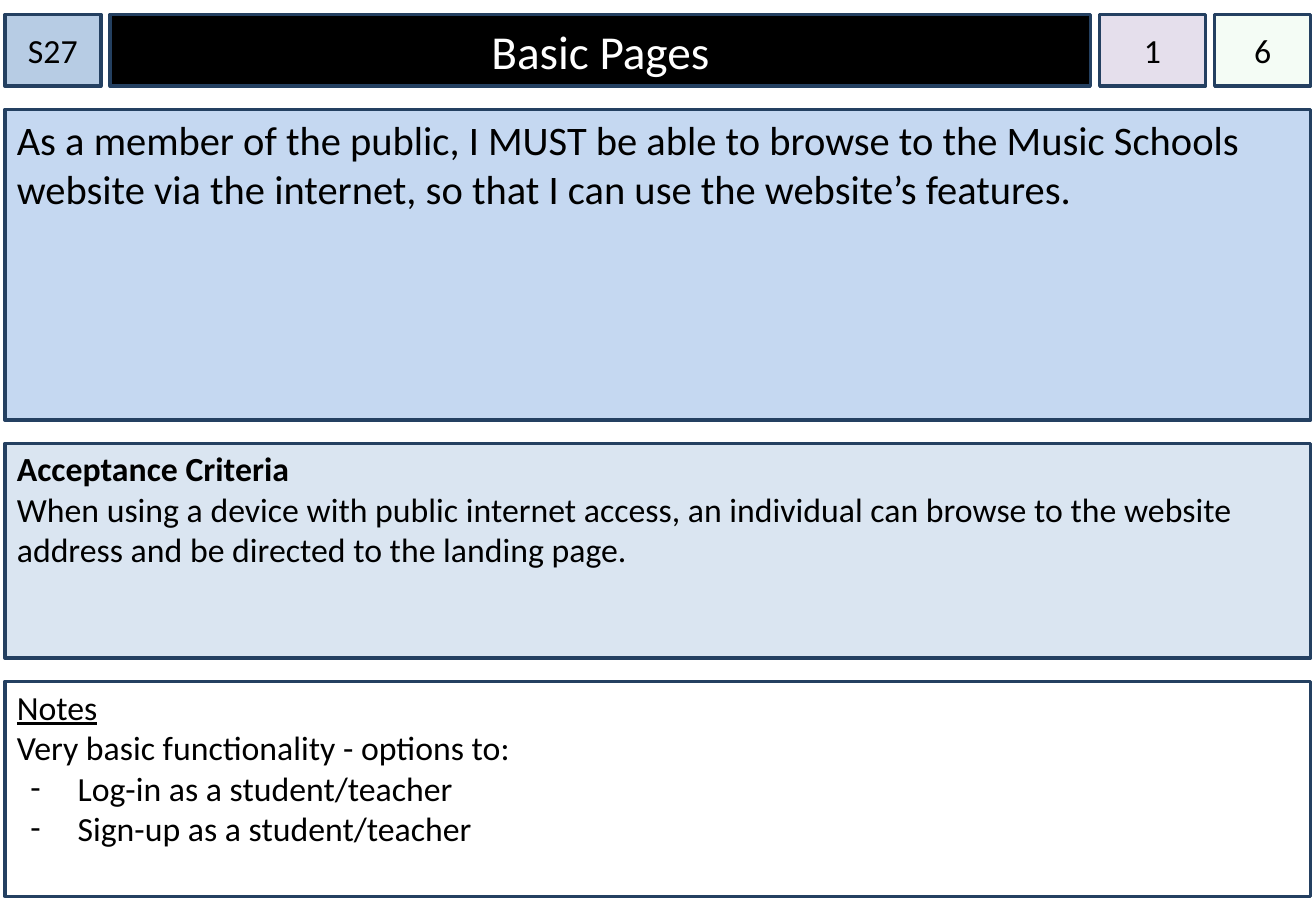
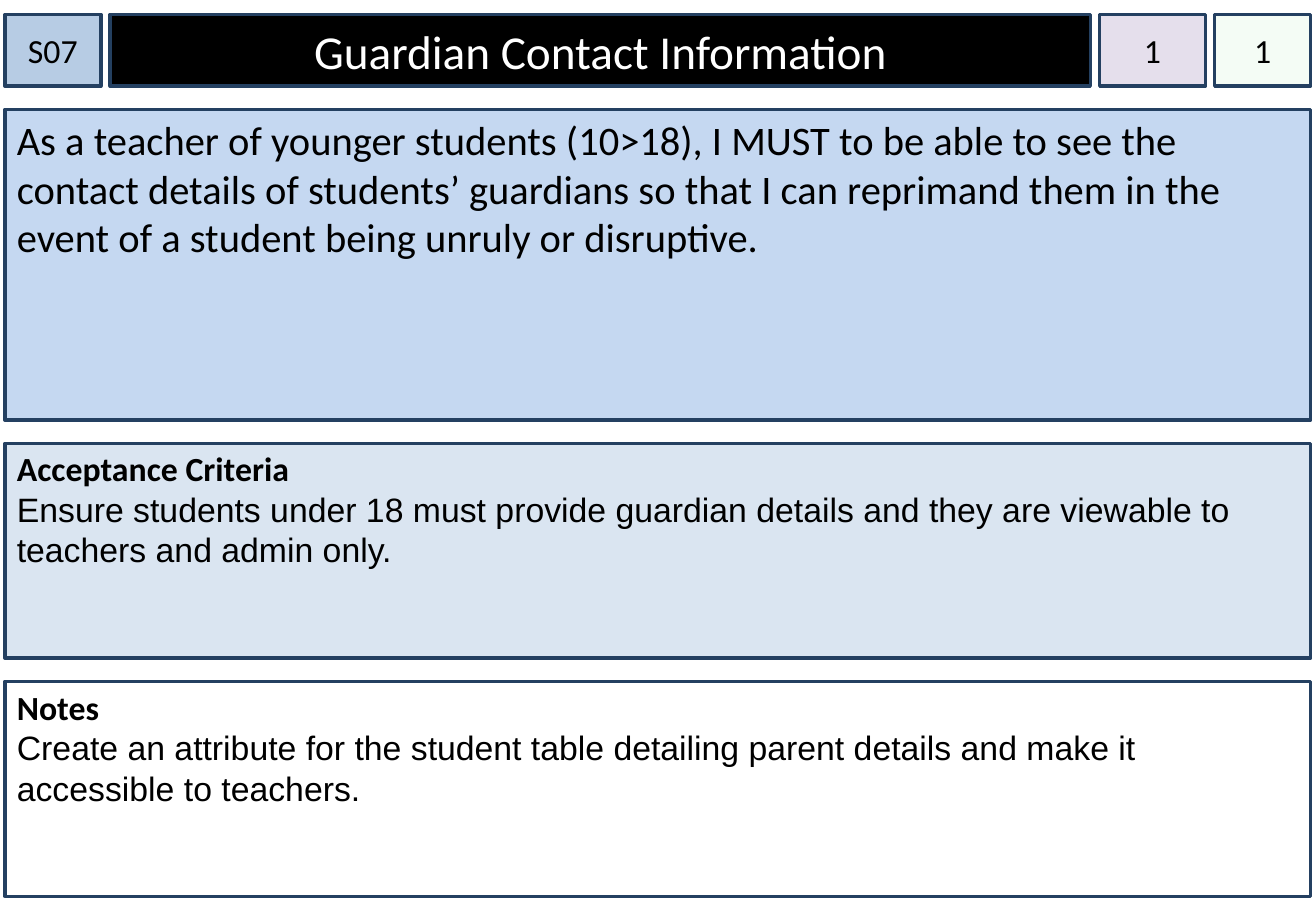
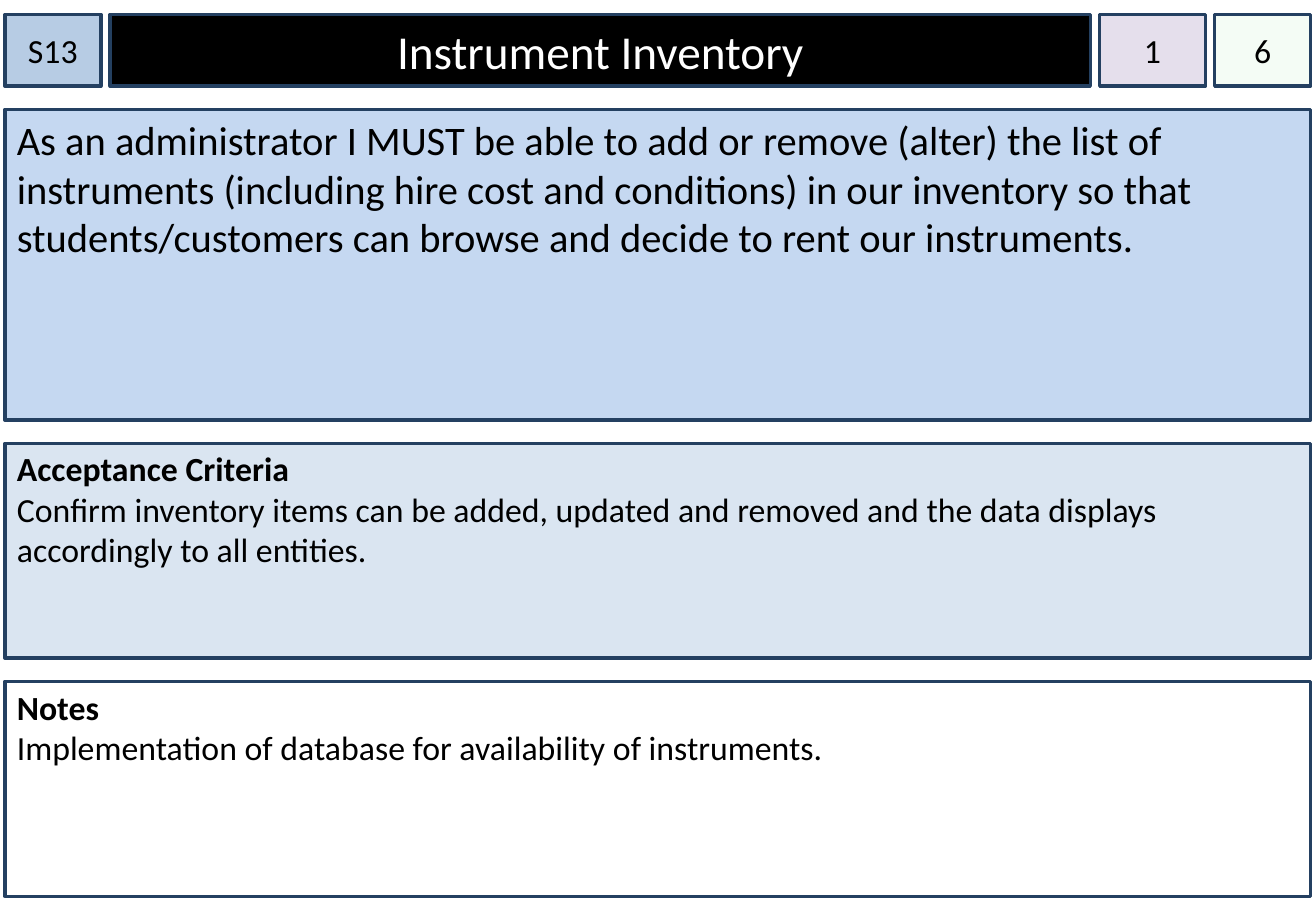
from lxml.etree import SubElement
from pptx import Presentation
from pptx.dml.color import RGBColor
from pptx.enum.shapes import MSO_SHAPE as Shape
from pptx.enum.text import MSO_ANCHOR as Anchor, PP_ALIGN as Align
from pptx.oxml.ns import qn
from pptx.util import Pt

# Content: body lines are (text, is_bullet)
STORIES = [
    dict(
        number="S27", title="Basic Pages", priority="1", estimate="6",
        story="As a member of the public, I MUST be able to browse to the Music Schools "
              "website via the internet, so that I can use the website’s features.",
        criteria=[("When using a device with public internet access, an individual can "
                   "browse to the website address and be directed to the landing page.", False)],
        notes=[("Very basic functionality - options to:", False),
               ("Log-in as a student/teacher", True),
               ("Sign-up as a student/teacher", True)],
        notes_heading="underline", body_font="Calibri"),
    dict(
        number="S07", title="Guardian Contact Information", priority="1", estimate="1",
        story="As a teacher of younger students (10>18), I MUST to be able to see the contact "
              "details of students’ guardians so that I can reprimand them in the event of a "
              "student being unruly or disruptive.",
        criteria=[("Ensure students under 18 must provide guardian details and they are "
                   "viewable to teachers and admin only.", False)],
        notes=[("Create an attribute for the student table detailing parent details and "
                "make it accessible to teachers.", False)],
        notes_heading="bold", body_font="Arial"),
    dict(
        number="S13", title="Instrument Inventory", priority="1", estimate="6",
        story="As an administrator I MUST be able to add or remove (alter) the list of "
              "instruments (including hire cost and conditions) in our inventory so that "
              "students/customers can browse and decide to rent our instruments.",
        criteria=[("Confirm inventory items can be added, updated and removed and the data "
                   "displays accordingly to all entities.", False)],
        notes=[("Implementation of database for availability of instruments.", False)],
        notes_heading="bold", body_font="Calibri"),
]

# Shared style
BLACK = RGBColor(0x00, 0x00, 0x00)
WHITE = RGBColor(0xFF, 0xFF, 0xFF)
BORDER = RGBColor(0x24, 0x40, 0x61)
NUMBER_BLUE = RGBColor(0xB7, 0xCC, 0xE4)
STORY_BLUE = RGBColor(0xC5, 0xD8, 0xF1)
CRITERIA_BLUE = RGBColor(0xDA, 0xE5, 0xF1)
PRIORITY_LILAC = RGBColor(0xE5, 0xDF, 0xEC)
ESTIMATE_GREEN = RGBColor(0xCC, 0xF0, 0xCD)
FONT = "Calibri"

# Shared layout
LEFT, TOP, WIDTH = 2.9, 8.6, 774
HEADER_GAP, ROW_GAP = 5.5, 13.7
HEADER = [  # key, width, fill, text colour, size, side inset
    ("number", 56.9, NUMBER_BLUE, BLACK, 20, 0),
    ("title", 581, BLACK, WHITE, 28, 7.2),
    ("priority", 62.7, PRIORITY_LILAC, BLACK, 20, 0),
    ("estimate", 56.9, ESTIMATE_GREEN, BLACK, 20, 0),
]
HEADER_HEIGHT, STORY_HEIGHT, DETAIL_HEIGHT = 42.5, 184.3, 127.4


def add_panel(slide, x, y, width, height, fill, side=7.2, top=2.9, anchor=Anchor.TOP):
    panel = slide.shapes.add_shape(Shape.RECTANGLE, Pt(x), Pt(y), Pt(width), Pt(height))
    panel.shadow.inherit = False
    panel.fill.solid()
    panel.fill.fore_color.rgb = fill
    panel.line.color.rgb = BORDER
    panel.line.width = Pt(2)
    frame = panel.text_frame
    frame.word_wrap = True
    frame.vertical_anchor = anchor
    frame.margin_left = frame.margin_right = Pt(side)
    frame.margin_top, frame.margin_bottom = Pt(top), Pt(3.6)
    return panel


def write(paragraph, text, size=20, color=BLACK, font=FONT, align=Align.LEFT,
          bold=False, underline=False):
    paragraph.alignment = align
    run = paragraph.add_run()
    run.text = text
    run.font.name, run.font.size = font, Pt(size)
    run.font.bold, run.font.underline = bold, underline
    run.font.color.rgb = color


def add_dash(paragraph):
    props = paragraph._p.get_or_add_pPr()
    props.set("marL", str(Pt(36)))
    props.set("indent", str(Pt(-28)))
    color = SubElement(props, qn("a:buClr"))
    SubElement(color, qn("a:srgbClr"), val=str(BLACK))
    SubElement(props, qn("a:buFont"), typeface=FONT)
    SubElement(props, qn("a:buChar"), char="-")


def set_opacity(panel, percent):
    color = panel.fill._xPr.find(qn("a:solidFill"))[0]
    SubElement(color, qn("a:alpha"), val=str(percent * 1000))


def add_detail(slide, y, fill, heading, emphasis, lines, font):
    frame = add_panel(slide, LEFT, y, WIDTH, DETAIL_HEIGHT, fill).text_frame
    write(frame.paragraphs[0], heading, **{emphasis: True})
    for text, is_bullet in lines:
        paragraph = frame.add_paragraph()
        if is_bullet:
            add_dash(paragraph)
        write(paragraph, text, font=font)


def add_story(slide, card):
    # Header row
    x = LEFT
    for key, width, fill, color, size, side in HEADER:
        cell = add_panel(slide, x, TOP, width, HEADER_HEIGHT, fill, side, 3.6, Anchor.MIDDLE)
        write(cell.text_frame.paragraphs[0], card[key], size, color, align=Align.CENTER)
        if key == "estimate":
            set_opacity(cell, 20)
        x += width + HEADER_GAP

    # User story
    y = TOP + HEADER_HEIGHT + ROW_GAP
    story = add_panel(slide, LEFT, y, WIDTH, STORY_HEIGHT, STORY_BLUE, top=3.6)
    write(story.text_frame.paragraphs[0], card["story"], 24)

    # Acceptance criteria and notes
    y += STORY_HEIGHT + ROW_GAP
    add_detail(slide, y, CRITERIA_BLUE, "Acceptance Criteria", "bold",
               card["criteria"], card["body_font"])
    y += DETAIL_HEIGHT + ROW_GAP
    add_detail(slide, y, WHITE, "Notes", card["notes_heading"],
               card["notes"], card["body_font"])


def main():
    deck = Presentation()
    deck.slide_width, deck.slide_height = Pt(780), Pt(540)
    for card in STORIES:
        add_story(deck.slides.add_slide(deck.slide_layouts[6]), card)
    deck.save("out.pptx")


if __name__ == "__main__":
    main()
